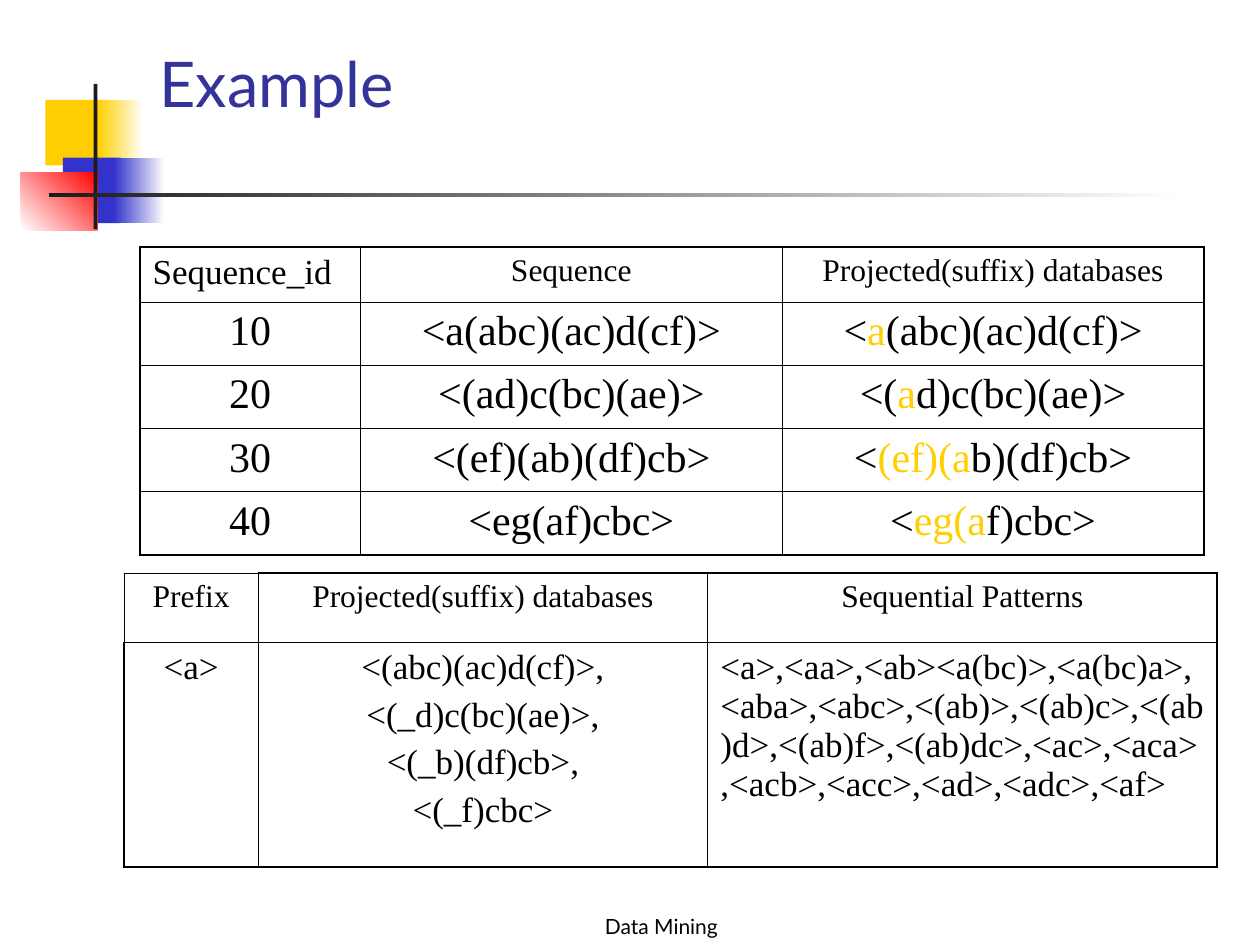
"""Build the slide with a sequence table and its projected databases."""
from lxml.etree import SubElement
from pptx import Presentation
from pptx.dml.color import RGBColor
from pptx.enum.shapes import MSO_SHAPE
from pptx.enum.text import MSO_ANCHOR, MSO_AUTO_SIZE, PP_ALIGN
from pptx.oxml.ns import qn
from pptx.util import Pt

COLORS = {
    "yellow": "FFCF01",
    "blue": "3333CC",
    "red": "FF0000",
    "dark": "1C1C1C",
    "white": "FFFFFF",
    "title": "333399",
    "black": "000000",
}
THIN, THICK = 0.45, 1.08

DECORATIONS = [
    (26, 57, 35, 37.5, "yellow", None, 0),
    (56, 57, 26, 37.5, "yellow", "white", 0),
    (36, 90, 33, 37.5, "blue", None, 0),
    (65, 90, 29, 37.5, "blue", "white", 0),
    (12, 98.5, 44, 33, "white", "red", 45),
    (53.5, 48, 2.2, 83, "dark", None, 0),
    (28, 110.2, 648, 2.5, "dark", "white", 0),
]

TABLES = [
    {
        "left": 71, "top": 327.5,
        "widths": [76.5, 257, 291], "heights": [39.5, 128.5],
        "body_size": 20, "left_cell": (1, 2), "thin_cell": (0, 0),
        "rows": [
            ["Prefix", "Projected(suffix) databases", "Sequential Patterns"],
            ["<a>",
             "<(abc)(ac)d(cf)>,\n<(_d)c(bc)(ae)>,\n<(_b)(df)cb>,\n<(_f)cbc>",
             "<a>,<aa>,<ab><a(bc)>,<a(bc)a>,<aba>,<abc>,<(ab)>,<(ab)c>,<(ab)d>,"
             "<(ab)f>,<(ab)dc>,<ac>,<aca>,<acb>,<acc>,<ad>,<adc>,<af>"],
        ],
    },
    {
        "left": 80, "top": 141,
        "widths": [126, 241, 241], "heights": [31.6] + [36.15] * 4,
        "body_size": 24, "left_cell": (0, 0), "thin_cell": None,
        "rows": [
            ["Sequence_id", "Sequence", "Projected(suffix) databases"],
            ["10", "<a(abc)(ac)d(cf)>", "<|a|(abc)(ac)d(cf)>"],
            ["20", "<(ad)c(bc)(ae)>", "<(|a|d)c(bc)(ae)>"],
            ["30", "<(ef)(ab)(df)cb>", "<|(ef)(a|b)(df)cb>"],
            ["40", "<eg(af)cbc>", "<|eg(a|f)cbc>"],
        ],
    },
]


def style(para, name, size, color, align):
    para.alignment = align
    para.font.name = name
    para.font.size = Pt(size)
    para.font.color.rgb = RGBColor.from_string(COLORS[color])


def draw_border(cell, side, width):
    line = SubElement(cell._tc.get_or_add_tcPr(), qn(f"a:ln{side}"), w=str(Pt(width)))
    fill = SubElement(line, qn("a:solidFill"))
    SubElement(fill, qn("a:srgbClr"), val=COLORS["black"])


deck = Presentation()
deck.slide_width, deck.slide_height = Pt(720), Pt(540)
page = deck.slides.add_slide(deck.slide_layouts[5])

for left, top, width, height, start, end, angle in DECORATIONS:
    block = page.shapes.add_shape(
        MSO_SHAPE.RECTANGLE, Pt(left), Pt(top), Pt(width), Pt(height))
    block.shadow.inherit = False
    block.line.fill.background()
    if end:
        block.fill.gradient()
        block.fill.gradient_angle = angle
        for stop, color in zip(block.fill.gradient_stops, (start, end)):
            stop.color.rgb = RGBColor.from_string(COLORS[color])
    else:
        block.fill.solid()
        block.fill.fore_color.rgb = RGBColor.from_string(COLORS[start])

title = page.shapes.title
title.left, title.top, title.width, title.height = Pt(84), Pt(24), Pt(588), Pt(48)
title.text_frame.text = "Example"
title.text_frame.auto_size = MSO_AUTO_SIZE.NONE
title.text_frame.vertical_anchor = MSO_ANCHOR.BOTTOM
style(title.text_frame.paragraphs[0], "Lato", 36, "title", PP_ALIGN.LEFT)

for data in TABLES:
    rows, widths, heights = data["rows"], data["widths"], data["heights"]
    table = page.shapes.add_table(
        len(rows), len(widths), Pt(data["left"]), Pt(data["top"]),
        Pt(sum(widths)), Pt(sum(heights))).table
    table.first_row = table.horz_banding = False
    for column, width in zip(table.columns, widths):
        column.width = Pt(width)
    for row, height in zip(table.rows, heights):
        row.height = Pt(height)

    for r, texts in enumerate(rows):
        for c, text in enumerate(texts):
            cell = table.cell(r, c)
            outer = {"L": c == 0, "R": c == len(widths) - 1,
                     "T": r == 0, "B": r == len(rows) - 1}
            for side, is_outer in outer.items():
                thick = is_outer and (r, c) != data["thin_cell"]
                draw_border(cell, side, THICK if thick else THIN)
            cell.fill.background()

            is_left = (r, c) == data["left_cell"]
            align = PP_ALIGN.LEFT if is_left else PP_ALIGN.CENTER
            size = data["body_size"] if r else 20 if is_left else 18
            frame = cell.text_frame
            for index, line in enumerate(text.split("\n")):
                para = frame.add_paragraph() if index else frame.paragraphs[0]
                style(para, "Times New Roman", size, "black", align)
                if index:
                    para.space_before = Pt(5)
                for part, words in enumerate(line.split("|")):
                    span = para.add_run()
                    span.text = words
                    if part == 1:
                        span.font.color.rgb = RGBColor.from_string(COLORS["yellow"])

footer = page.shapes.add_textbox(Pt(264), Pt(510), Pt(228), Pt(30)).text_frame
footer.word_wrap = True
footer.vertical_anchor = MSO_ANCHOR.BOTTOM
footer.text = "Data Mining"
style(footer.paragraphs[0], "Lato", 12, "black", PP_ALIGN.CENTER)

deck.save("out.pptx")
